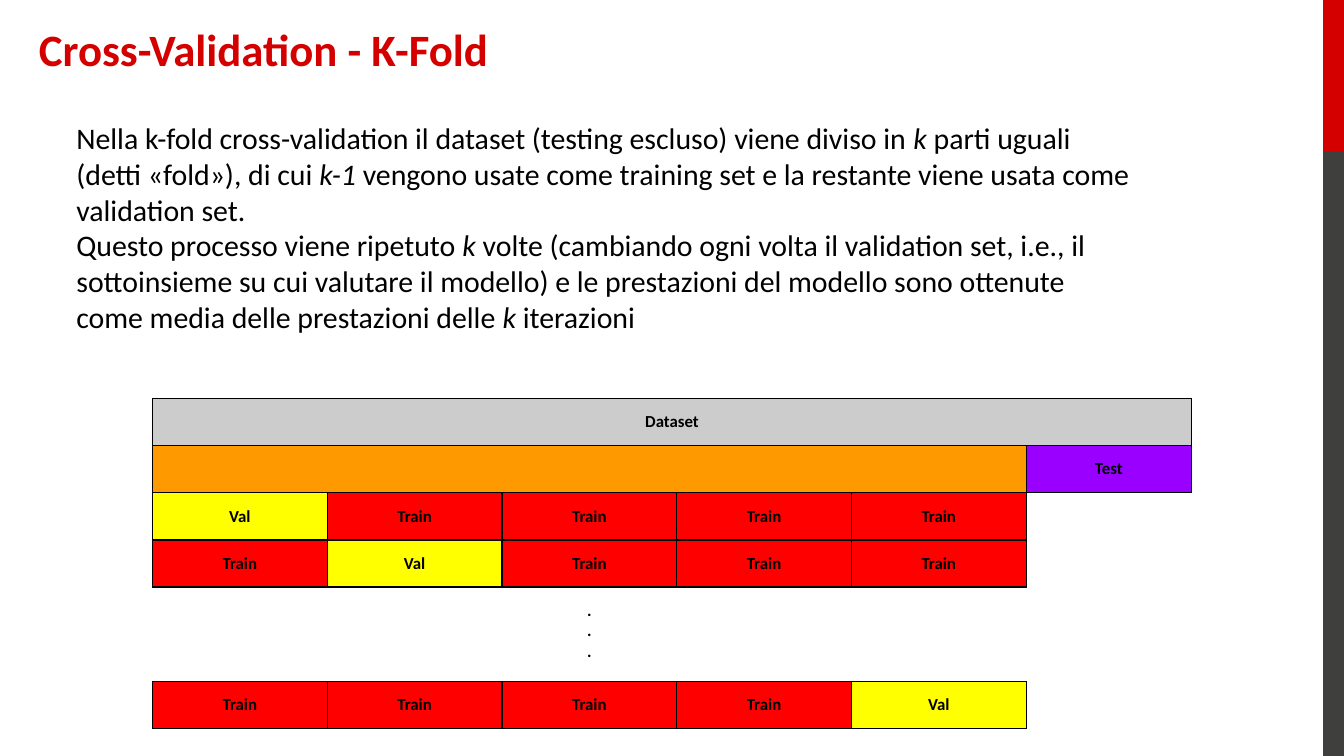
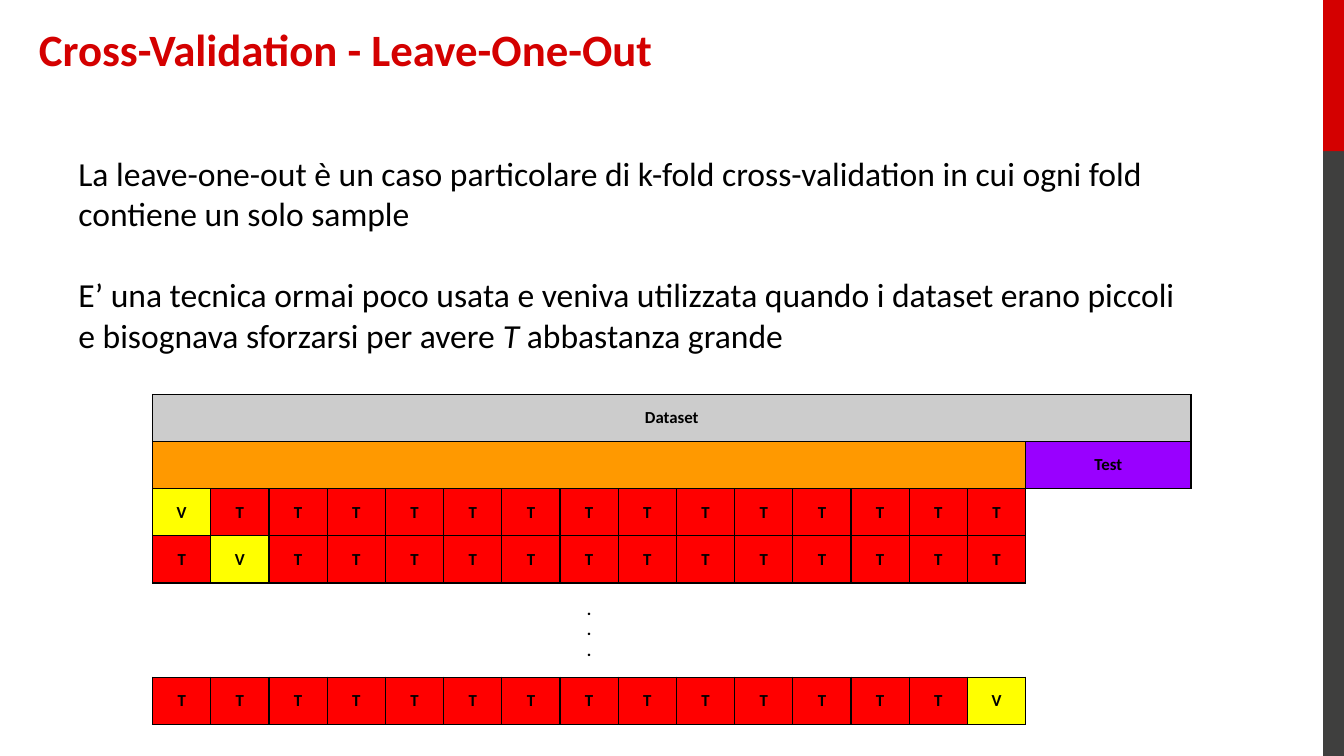
from lxml import etree
from pptx import Presentation
from pptx import util as u
from pptx.dml.color import RGBColor
from pptx.enum import shapes, text
from pptx.oxml import ns

PX = 4572  # EMU per px, 200 px to the inch
WIDTH, HEIGHT = 2000, 1125

BLACK = RGBColor(0x00, 0x00, 0x00)
CRIMSON = RGBColor(0xD4, 0x00, 0x00)
CHARCOAL = RGBColor(0x3F, 0x3F, 0x3E)
GRAY = RGBColor(0xCC, 0xCC, 0xCC)
ORANGE = RGBColor(0xFF, 0x99, 0x00)
PURPLE = RGBColor(0x99, 0x00, 0xFF)
YELLOW = RGBColor(0xFF, 0xFF, 0x00)
RED = RGBColor(0xFF, 0x00, 0x00)

FONT = "Calibri"
PLAIN_TABLE_STYLE = "{2D5ABB26-0587-4C30-8999-92F81FD0307C}"
BAND_LEFT, BAND_SPLIT = 1969, 225
MARGIN = 20
CELL_SIZE = 9
ROW_HEIGHT = 70
FOLDS_WIDTH, TEST_WIDTH = 1300, 246
DOTS_ROW, LAST_ROW = 4, 6
FOLD_ROWS = (2, 3, LAST_ROW)


def px(*lengths):
    return [u.Emu(length * PX) for length in lengths]


def write(frame, paragraphs, *, size, color=BLACK, bold=False,
          align=text.PP_ALIGN.LEFT, gap=0):
    """Fill a text frame; words between asterisks become italic."""
    for index, line in enumerate(paragraphs):
        para = frame.add_paragraph() if index else frame.paragraphs[0]
        para.alignment = align
        if index:
            para.space_before = u.Pt(gap)
        for part, words in enumerate(line.split("*")):
            if not words:
                continue
            span = para.add_run()
            span.text = words
            font = span.font
            font.name, font.size, font.bold = FONT, u.Pt(size), bold
            font.italic = part % 2 == 1
            font.color.rgb = color


def set_margins(target, left, top, right, bottom):
    (target.margin_left, target.margin_top,
     target.margin_right, target.margin_bottom) = px(left, top, right, bottom)


def set_borders(cell, sides):
    """Draw the sides named by letters out of LRTB and clear the others."""
    properties = cell._tc.get_or_add_tcPr()
    for index, side in enumerate("LRTB"):
        line = etree.Element(ns.qn(f"a:ln{side}"), w=str(u.Pt(0.75)))
        if side in sides:
            fill = etree.SubElement(line, ns.qn("a:solidFill"))
            etree.SubElement(fill, ns.qn("a:srgbClr"), val=str(BLACK))
        else:
            etree.SubElement(line, ns.qn("a:noFill"))
        properties.insert(index, line)


class Slides:
    def __init__(self):
        self.deck = Presentation()
        self.deck.slide_width, self.deck.slide_height = px(WIDTH, HEIGHT)
        self.layout = self.deck.slide_layouts[5]
        self.page = None

    def new_page(self, title):
        first = self.page is None
        self.page = self.deck.slides.add_slide(self.layout)
        if first:
            self.layout_band(0, BAND_SPLIT, CRIMSON)
            self.layout_band(BAND_SPLIT, HEIGHT - BAND_SPLIT, CHARCOAL)
        box = self.page.shapes.title
        box.left, box.top, box.width, box.height = px(56, 30, 1594, 84)
        frame = box.text_frame
        set_margins(frame, 2, 2, 0, 0)
        frame.vertical_anchor = text.MSO_ANCHOR.TOP
        frame.auto_size = text.MSO_AUTO_SIZE.SHAPE_TO_FIT_TEXT
        write(frame, [title], size=24, color=CRIMSON, bold=True)

    def layout_band(self, top, height, color):
        """Draw a band at the right edge and move it to the shared layout."""
        band = self.page.shapes.add_shape(
            shapes.MSO_SHAPE.RECTANGLE,
            *px(BAND_LEFT, top, WIDTH - BAND_LEFT, height))
        band.shadow.inherit = False
        band.fill.solid()
        band.fill.fore_color.rgb = color
        band.line.fill.background()
        tree = self.layout.shapes._spTree
        band._element.nvSpPr.cNvPr.set("id", str(20 + len(tree)))
        tree.insert(2, band._element)

    def body(self, left, top, width, height, paragraphs, *, size, gap=0):
        box = self.page.shapes.add_textbox(*px(left, top, width, height))
        frame = box.text_frame
        frame.word_wrap = True
        frame.auto_size = text.MSO_AUTO_SIZE.SHAPE_TO_FIT_TEXT
        set_margins(frame, MARGIN, MARGIN, MARGIN, MARGIN)
        write(frame, paragraphs, size=size, gap=gap)

    def split_table(self, top, folds, train, val, *, side_margin, anchor):
        """Draw the dataset split, its first two iterations and the last."""
        frame = self.page.shapes.add_table(
            LAST_ROW + 1, folds + 1,
            *px(227, top, FOLDS_WIDTH + TEST_WIDTH, ROW_HEIGHT * (LAST_ROW + 1)))
        table = frame.table
        table.first_row = table.horz_banding = False
        table._tbl.tblPr.find(ns.qn("a:tableStyleId")).text = PLAIN_TABLE_STYLE
        for row in table.rows:
            row.height = u.Emu(ROW_HEIGHT * PX)
        for index, column in enumerate(table.columns):
            column.width = u.Emu(
                FOLDS_WIDTH * PX // folds if index < folds else TEST_WIDTH * PX)

        fills = {(0, 0): GRAY, (1, 0): ORANGE, (1, folds): PURPLE}
        labels = {(0, 0): ["Dataset"], (1, folds): ["Test"],
                  (DOTS_ROW, 0): [".", ".", "."]}
        for row, val_fold in zip(FOLD_ROWS, (0, 1, folds - 1)):
            for fold in range(folds):
                held_out = fold == val_fold
                labels[row, fold] = [val if held_out else train]
                fills[row, fold] = YELLOW if held_out else RED

        for row in range(LAST_ROW + 1):
            for column in range(folds + 1):
                place = row, column
                cell = table.cell(row, column)
                set_margins(cell, side_margin, MARGIN, side_margin, MARGIN)
                cell.vertical_anchor = anchor
                if place in fills:
                    cell.fill.solid()
                    cell.fill.fore_color.rgb = fills[place]
                else:
                    cell.fill.background()
                set_borders(cell, self.sides(row, column == folds))
                if place in labels:
                    write(cell.text_frame, labels[place], size=CELL_SIZE,
                          bold=True, align=text.PP_ALIGN.CENTER)
                else:
                    etree.SubElement(cell.text_frame.paragraphs[0]._p,
                                     ns.qn("a:endParaRPr"),
                                     sz=str(CELL_SIZE * 100))

        for start, end in (((0, 0), (0, folds)), ((1, 0), (1, folds - 1)),
                           ((DOTS_ROW, 0), (DOTS_ROW + 1, folds - 1))):
            table.cell(*start).merge(table.cell(*end))

    @staticmethod
    def sides(row, in_test_column):
        """Name the sides of a cell that carry a line."""
        if row < 2:
            return "LRTB"
        if in_test_column:
            return ("L" if row in FOLD_ROWS else "") + ("T" if row == 2 else "")
        return "LRTB" if row in FOLD_ROWS else "TB"


def main():
    slides = Slides()

    slides.new_page("Cross-Validation - K-Fold")
    slides.split_table(593, 5, "Train", "Val", side_margin=MARGIN,
                       anchor=text.MSO_ANCHOR.TOP)
    slides.body(94, 158, 1610, 364, [
        "Nella k-fold cross-validation il dataset (testing escluso) viene "
        "diviso in *k* parti uguali (detti «fold»), di cui *k-1* vengono usate "
        "come training set e la restante viene usata come validation set.",
        "Questo processo viene ripetuto *k* volte (cambiando ogni volta il "
        "validation set, i.e., il sottoinsieme su cui valutare il modello) e "
        "le prestazioni del modello sono ottenute come media delle "
        "prestazioni delle *k* iterazioni",
    ], size=16)

    slides.new_page("Cross-Validation - Leave-One-Out")
    slides.split_table(587, 15, "T", "V", side_margin=0,
                       anchor=text.MSO_ANCHOR.MIDDLE)
    slides.body(97, 207, 1676, 344, [
        "La leave-one-out è un caso particolare di k-fold cross-validation "
        "in cui ogni fold contiene un solo sample",
        "E’ una tecnica ormai poco usata e veniva utilizzata quando i dataset "
        "erano piccoli e bisognava sforzarsi per avere *T* abbastanza grande",
    ], size=18, gap=22)

    slides.deck.save("out.pptx")


if __name__ == "__main__":
    main()
